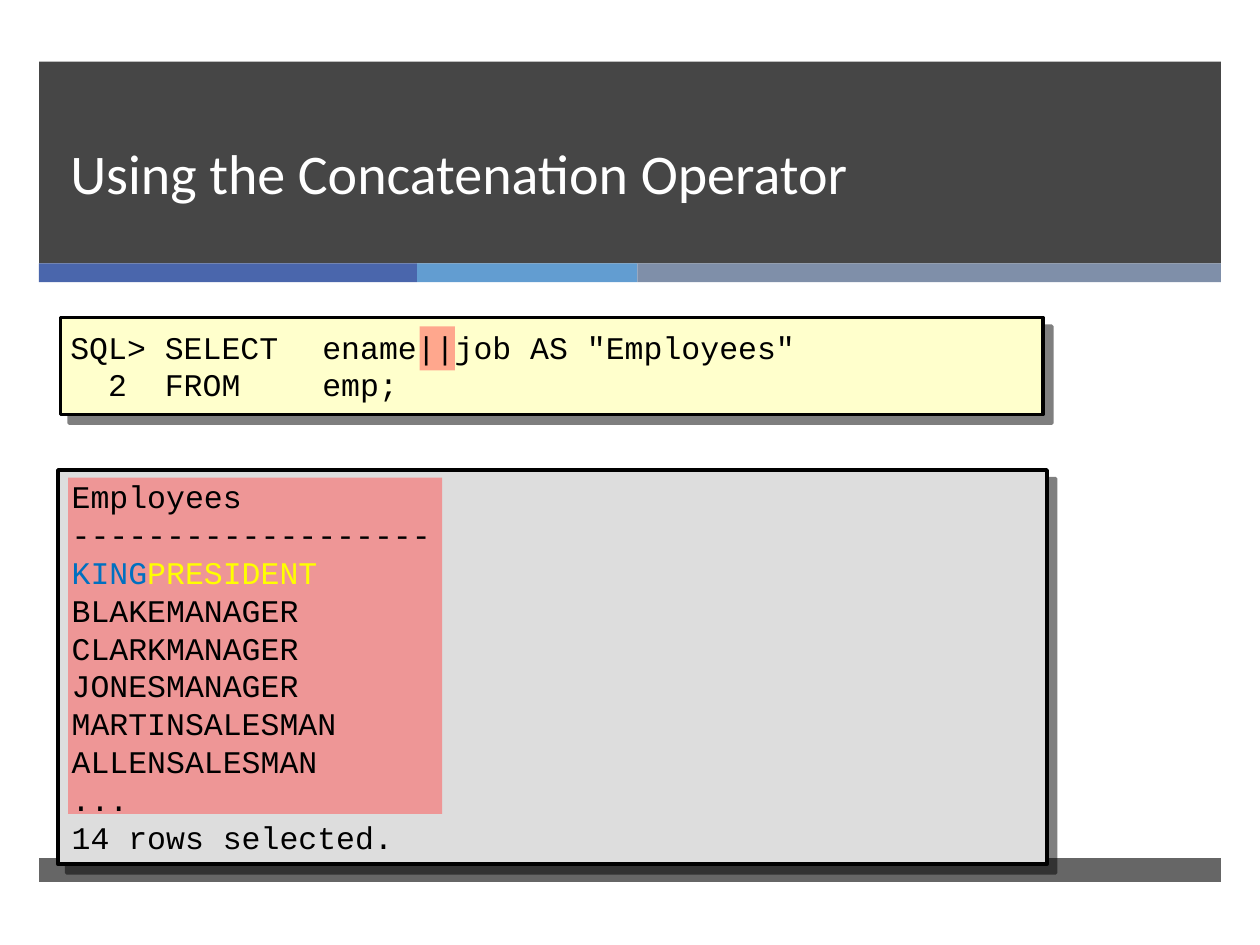
"""Builds the slide on the SQL concatenation operator."""
from dataclasses import dataclass
from lxml.etree import SubElement
from pptx import Presentation
from pptx.dml.color import RGBColor as RGB
from pptx.enum.shapes import MSO_SHAPE as SHAPE
from pptx.enum.text import MSO_ANCHOR as ANCHOR, MSO_AUTO_SIZE as FIT
from pptx.oxml.ns import qn
from pptx.util import Inches, Pt


@dataclass(frozen=True)
class Theme:
    dark: str = "262626"
    blue: str = "4A66AC"
    sky: str = "629DD1"
    slate: str = "7F8FA9"
    cream: str = "FFFFCC"
    grey: str = "DDDDDD"
    highlight: str = "FF5050"
    name: str = "0070C0"
    job: str = "FFFF00"
    white: str = "FFFFFF"
    black: str = "000000"
    title_font: str = "Calibri"
    code_font: str = "Courier New"
    title_size: int = 32
    title_leading: int = 46
    code_size: int = 18


def add_text(p, text, *, font, size, color):
    r = p.add_run()
    r.text = text
    r.font.name, r.font.size = font, Pt(size)
    r.font.color.rgb = RGB.from_string(color)


def set_alpha(parent, percent):
    SubElement(parent, qn("a:alpha"), val=str(percent * 1000))


class SlideBuilder:
    def __init__(self, slide, theme):
        self.slide, self.theme = slide, theme

    def rect(self, x, y, w, h, color, opacity=100):
        sp = self.slide.shapes.add_shape(SHAPE.RECTANGLE, *map(Inches, (x, y, w, h)))
        sp.shadow.inherit = False
        sp.fill.solid()
        sp.fill.fore_color.rgb = RGB.from_string(color)
        sp.line.fill.background()
        if opacity < 100:
            set_alpha(sp.element.spPr.find(qn("a:solidFill"))[0], opacity)
        return sp

    def panel(self, x, y, w, h, color):
        sp = self.rect(x, y, w, h, color)
        sp.line.color.rgb = RGB.from_string(self.theme.black)
        sp.line.width = Pt(2)
        effects = sp.element.spPr.find(qn("a:effectLst"))
        shadow = SubElement(effects, qn("a:outerShdw"), dist=str(Pt(7.1)),
                            dir=str(45 * 60000), algn="ctr", rotWithShape="0")
        set_alpha(SubElement(shadow, qn("a:srgbClr"), val=self.theme.black), 50)

    def text_box(self, x, y, w, h, anchor=ANCHOR.TOP, fit=FIT.NONE):
        tf = self.slide.shapes.add_textbox(*map(Inches, (x, y, w, h))).text_frame
        tf.word_wrap, tf.auto_size, tf.vertical_anchor = True, fit, anchor
        return tf

    def title(self, x, y, w, h, text):
        t = self.theme
        p = self.text_box(x, y, w, h, ANCHOR.BOTTOM).paragraphs[0]
        p.line_spacing = Pt(t.title_leading)
        add_text(p, text, font=t.title_font, size=t.title_size, color=t.white)

    def code(self, x, y, w, h, lines, tab=None, **box):
        t = self.theme
        tf = self.text_box(x, y, w, h, **box)
        for i, line in enumerate(lines):
            p = tf.add_paragraph() if i else tf.paragraphs[0]
            if tab:
                tabs = SubElement(p._p.get_or_add_pPr(), qn("a:tabLst"))
                SubElement(tabs, qn("a:tab"), pos=str(Inches(tab)), algn="l")
            for text, color in [(line, t.black)] if isinstance(line, str) else line:
                add_text(p, text, font=t.code_font, size=t.code_size, color=color)


def main():
    prs = Presentation()
    prs.slide_width, prs.slide_height = Inches(10), Inches(7.5)
    t = Theme()
    s = SlideBuilder(prs.slides.add_slide(prs.slide_layouts[6]), t)

    left, width = 0.31, 9.38
    s.rect(left, 0.49, width, 1.6, t.dark, 85)
    x = left
    for w, color in ((3, t.blue), (1.75, t.sky), (4.63, t.slate)):
        s.rect(x, 2.09, w, 0.15, color)
        x += w
    s.rect(left, 6.81, width, 0.19, t.dark, 70)
    s.title(0.46, 0.49, 8.54, 1.19, "Using the Concatenation Operator")

    s.panel(0.48, 2.52, 7.8, 0.77, t.cream)
    s.panel(0.46, 3.73, 7.85, 3.13, t.grey)
    s.rect(3.33, 2.59, 0.28, 0.35, t.highlight, 50)
    s.rect(0.54, 3.79, 2.97, 2.67, t.highlight, 50)

    query = ['SQL> SELECT\tename||job AS "Employees"', "  2  FROM \temp;"]
    s.code(0.46, 2.5, 7.82, 0.8, query, tab=2, anchor=ANCHOR.MIDDLE)
    result = ["Employees", "-" * 19, [("KING", t.name), ("PRESIDENT", t.job)],
              "BLAKEMANAGER", "CLARKMANAGER", "JONESMANAGER",
              "MARTINSALESMAN", "ALLENSALESMAN", "...", "14 rows selected."]
    s.code(0.47, 3.74, 7.82, 3.1, result, fit=FIT.SHAPE_TO_FIT_TEXT)

    prs.save("out.pptx")


if __name__ == "__main__":
    main()
